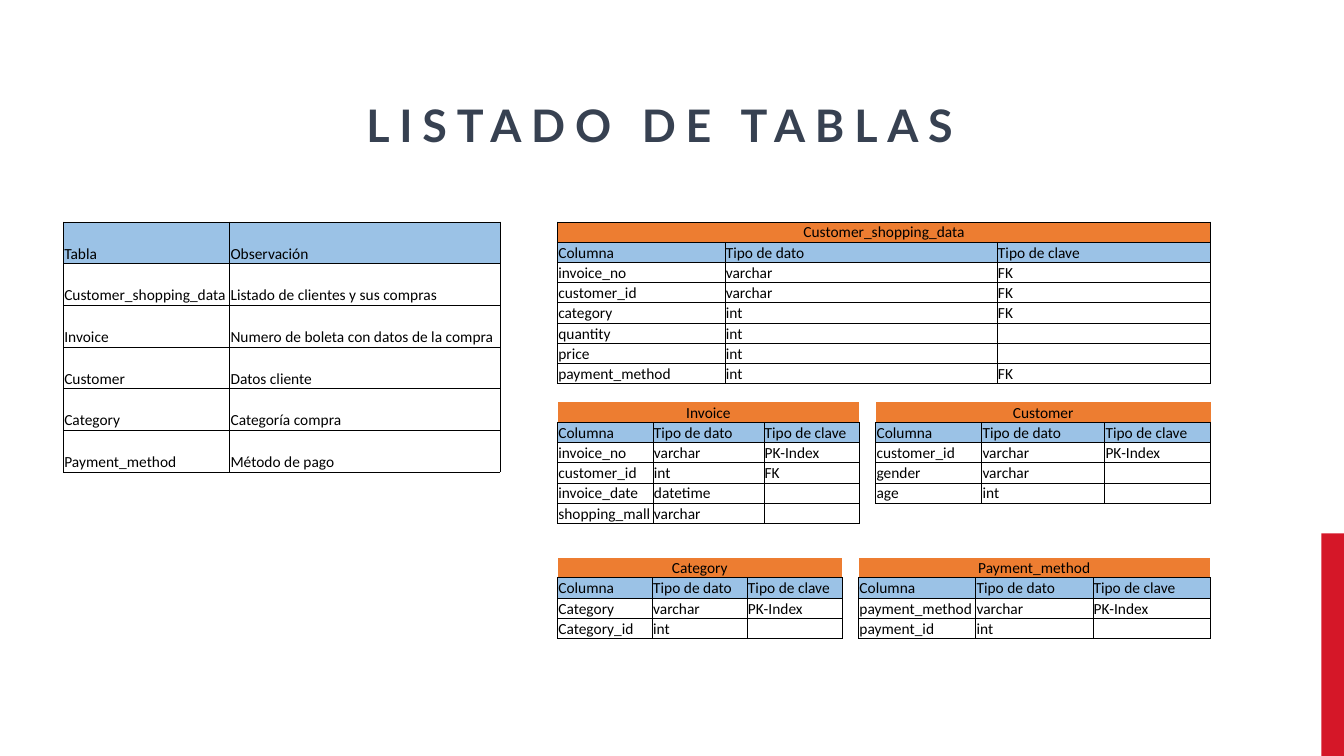
from lxml import etree
from pptx import Presentation
from pptx.dml.color import RGBColor
from pptx.enum.shapes import MSO_SHAPE
from pptx.enum.text import MSO_ANCHOR, PP_ALIGN
from pptx.oxml.ns import qn
from pptx.util import Cm, Pt

RECTANGLE = MSO_SHAPE.RECTANGLE
MIDDLE, BOTTOM = MSO_ANCHOR.MIDDLE, MSO_ANCHOR.BOTTOM
CENTER, LEFT = PP_ALIGN.CENTER, PP_ALIGN.LEFT

SLATE = RGBColor(0x37, 0x41, 0x51)
RED = RGBColor(0xD5, 0x17, 0x28)
ORANGE = RGBColor(0xED, 0x7D, 0x31)
BLUE = RGBColor(0x9B, 0xC2, 0xE6)
BLACK = RGBColor(0, 0, 0)

CELL_FONT_SIZE = Pt(11)
CELL_MARGIN = Cm(0.02)
SCHEMA_ROW = 0.51
SCHEMA_HEADER = ["Columna", "Tipo de dato", "Tipo de clave"]

LISTING = [
    ["Tabla", "Observación"],
    ["Customer_shopping_data", "Listado de clientes y sus compras"],
    ["Invoice", "Numero de boleta con datos de la compra"],
    ["Customer", "Datos cliente"],
    ["Category", "Categoría compra"],
    ["Payment_method", "Método de pago"],
]

# Name, left, top, column widths (cm), columns of the schema
SCHEMAS = [
    ("Customer_shopping_data", 14.05, 5.59, [4.22, 6.86, 5.38], [
        ["invoice_no", "varchar", "FK"],
        ["customer_id", "varchar", "FK"],
        ["category", "int", "FK"],
        ["quantity", "int", ""],
        ["price", "int", ""],
        ["payment_method", "int", "FK"],
    ]),
    ("Invoice", 14.05, 10.13, [2.41, 2.79, 2.41], [
        ["invoice_no", "varchar", "PK-Index"],
        ["customer_id", "int", "FK"],
        ["invoice_date", "datetime", ""],
        ["shopping_mall", "varchar", ""],
    ]),
    ("Customer", 22.07, 10.13, [2.67, 3.1, 2.67], [
        ["customer_id", "varchar", "PK-Index"],
        ["gender", "varchar", ""],
        ["age", "int", ""],
    ]),
    ("Category", 14.05, 14.05, [2.39] * 3, [
        ["Category", "varchar", "PK-Index"],
        ["Category_id", "int", ""],
    ]),
    ("Payment_method", 21.64, 14.05, [2.95] * 3, [
        ["payment_method", "varchar", "PK-Index"],
        ["payment_id", "int", ""],
    ]),
]


def set_borders(cell, visible_sides):
    properties = cell._tc.get_or_add_tcPr()
    for side in "LRTB":
        line = etree.SubElement(properties, qn(f"a:ln{side}"), w=str(Pt(0.5)))
        if side in visible_sides:
            fill = etree.SubElement(line, qn("a:solidFill"))
            etree.SubElement(fill, qn("a:srgbClr"), val=str(BLACK))
        else:
            etree.SubElement(line, qn("a:noFill"))


def format_cell(cell, text, color=None, alignment=LEFT, visible_sides="LRTB"):
    set_borders(cell, visible_sides)
    if color is None:
        cell.fill.background()
    else:
        cell.fill.solid()
        cell.fill.fore_color.rgb = color
    cell.margin_left = cell.margin_right = cell.margin_top = CELL_MARGIN
    cell.margin_bottom = 0
    cell.vertical_anchor = BOTTOM
    cell.text = text
    paragraph = cell.text_frame.paragraphs[0]
    paragraph.alignment = alignment
    paragraph.font.name = "Calibri"
    paragraph.font.size = CELL_FONT_SIZE
    paragraph.font.color.rgb = BLACK
    if not text:
        # Keeps an empty cell as low as the rest of its row
        etree.SubElement(paragraph._p, qn("a:endParaRPr"),
                         sz=str(CELL_FONT_SIZE.centipoints))


def add_grid(slide, left, top, widths, row_height, rows, header_row):
    """Add a table whose header row is blue and whose cells are all ruled."""
    frame = slide.shapes.add_table(len(rows), len(widths), Cm(left), Cm(top),
                                   Cm(sum(widths)), Cm(row_height * len(rows)))
    table = frame.table
    table.first_row = table.horz_banding = False
    for column, width in zip(table.columns, widths):
        column.width = Cm(width)
    for row_index, values in enumerate(rows):
        table.rows[row_index].height = Cm(row_height)
        if row_index < header_row:
            continue
        color = BLUE if row_index == header_row else None
        for column_index, text in enumerate(values):
            format_cell(table.cell(row_index, column_index), text, color)
    return table


def add_schema(slide, name, left, top, widths, columns, title_sides):
    """Add a table with an orange title row above the blue header."""
    title_row = [name, "", ""]
    rows = [title_row, SCHEMA_HEADER] + columns
    table = add_grid(slide, left, top, widths, SCHEMA_ROW, rows, header_row=1)
    for column_index, text in enumerate(title_row):
        format_cell(table.cell(0, column_index), text, ORANGE, CENTER, title_sides)
    table.cell(0, 0).merge(table.cell(0, len(widths) - 1))


def add_title(slide, text):
    box = slide.shapes.add_textbox(Cm(2.24), Cm(1.02), Cm(28.78), Cm(3.99))
    box.text_frame.word_wrap = True
    box.text_frame.vertical_anchor = MIDDLE
    paragraph = box.text_frame.paragraphs[0]
    paragraph.alignment = CENTER
    paragraph.line_spacing = 1.2
    paragraph.font.name = "Lato"
    paragraph.font.size = Pt(32)
    paragraph.font.bold = True
    paragraph.font.color.rgb = SLATE
    run = paragraph.add_run()
    run.text = text
    run._r.get_or_add_rPr().set("spc", "700")


def add_accent_bar(slide):
    bar = slide.shapes.add_shape(RECTANGLE, Cm(33.3), Cm(13.44), Cm(0.57), Cm(5.61))
    bar.shadow.inherit = False
    bar.fill.solid()
    bar.fill.fore_color.rgb = RED
    bar.line.fill.background()


def main():
    presentation = Presentation()
    presentation.slide_width = Cm(33.87)
    presentation.slide_height = Cm(19.05)
    slide = presentation.slides.add_slide(presentation.slide_layouts[6])

    add_accent_bar(slide)
    add_title(slide, "LISTADO DE TABLAS")

    # List of tables on the left
    add_grid(slide, 1.6, 5.59, [4.19, 6.81], 1.05, LISTING, header_row=0)

    # Schemas on the right; only the first has a fully ruled title row
    for index, schema in enumerate(SCHEMAS):
        add_schema(slide, *schema, title_sides="B" if index else "LRTB")

    presentation.save("out.pptx")


if __name__ == "__main__":
    main()
